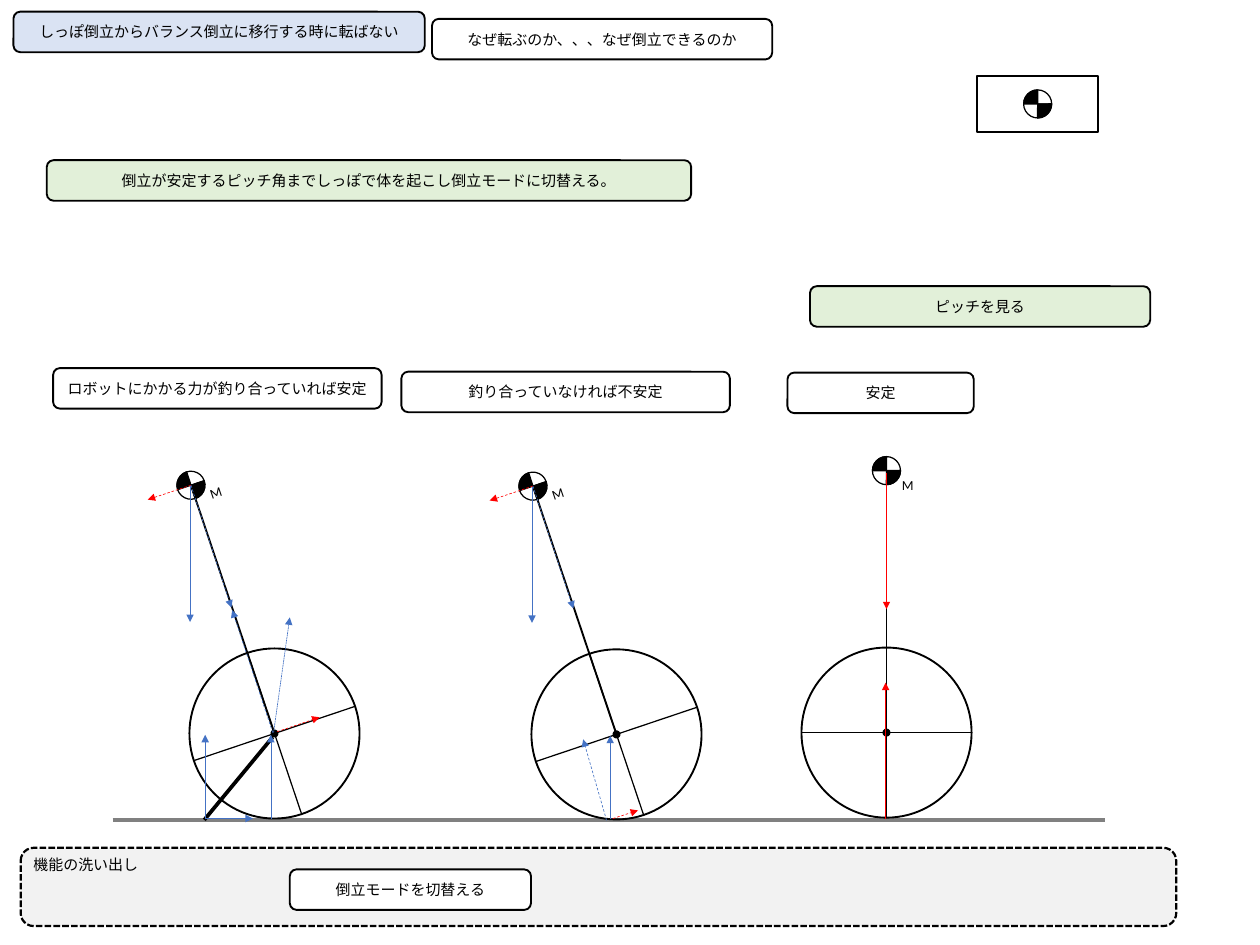
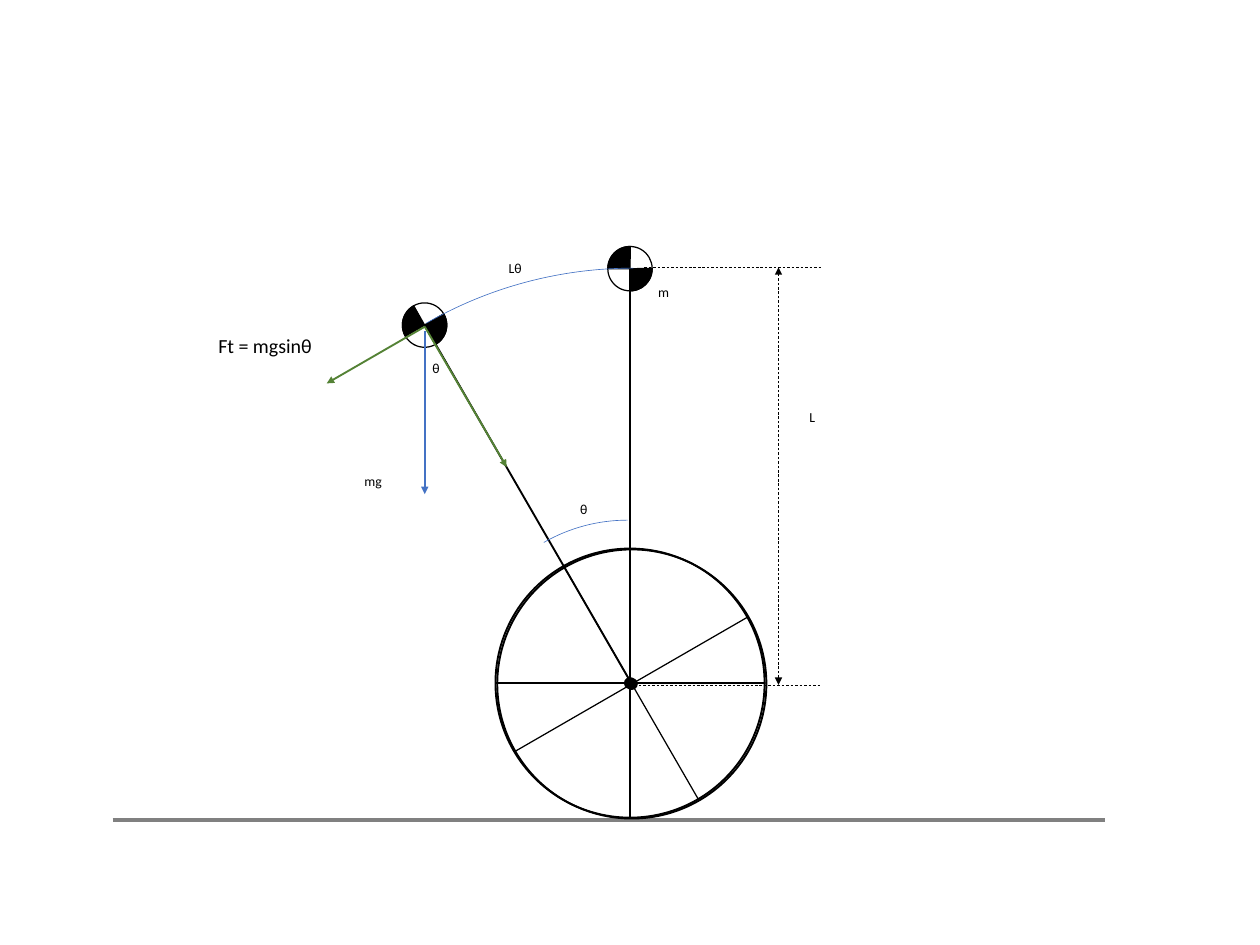
from dataclasses import dataclass
from math import cos, radians, sin

from lxml import etree
from pptx import Presentation
from pptx.dml.color import RGBColor
from pptx.enum.dml import MSO_LINE
from pptx.enum.shapes import MSO_CONNECTOR, MSO_SHAPE
from pptx.enum.text import MSO_ANCHOR, PP_ALIGN
from pptx.oxml.ns import qn
from pptx.util import Inches, Pt

DASH, SHORT_DASH = MSO_LINE.DASH, MSO_LINE.SQUARE_DOT
STRAIGHT = MSO_CONNECTOR.STRAIGHT
ROUNDED, RECTANGLE = MSO_SHAPE.ROUNDED_RECTANGLE, MSO_SHAPE.RECTANGLE
ELLIPSE, PIE, ARC = MSO_SHAPE.OVAL, MSO_SHAPE.PIE, MSO_SHAPE.ARC
MIDDLE, TOP = MSO_ANCHOR.MIDDLE, MSO_ANCHOR.TOP
LEFT, CENTER = PP_ALIGN.LEFT, PP_ALIGN.CENTER


@dataclass(frozen=True)
class Theme:
    font: str = "Calibri"
    black: str = "000000"
    white: str = "FFFFFF"
    blue: str = "4472C4"
    red: str = "FF0000"
    green: str = "548235"
    ground: str = "808080"
    goal: str = "DAE3F3"
    answer: str = "E2F0D9"
    panel: str = "F2F2F2"
    label_size: float = 11
    box_size: float = 12
    formula_size: float = 16
    hair: float = 0.5
    thin: float = 1
    medium: float = 1.5
    panel_line: float = 1.75
    thick: float = 3


THEME = Theme()
SLIDE_SIZE = (14, 10.5)
GROUND = ((1.25, 9.11), (12.28, 9.11))
BOX_HEIGHT = 0.45

BOXES = [
    ("しっぽ倒立からバランス倒立に移行する時に転ばない", 0.15, 0.13, 4.57, THEME.goal),
    ("なぜ転ぶのか、、、なぜ倒立できるのか", 4.8, 0.21, 3.78, THEME.white),
    ("倒立が安定するピッチ角までしっぽで体を起こし倒立モードに切替える。", 0.52, 1.78, 7.16, THEME.answer),
    ("ピッチを見る", 9, 3.18, 3.78, THEME.answer),
    ("ロボットにかかる力が釣り合っていれば安定", 0.59, 4.09, 3.65, THEME.white),
    ("釣り合っていなければ不安定", 4.46, 4.13, 3.65, THEME.white),
    ("安定", 8.75, 4.14, 2.07, THEME.white),
    ("倒立モードを切替える", 3.22, 9.66, 2.68, THEME.white),
]
PANEL = ("機能の洗い出し", (0.23, 9.42, 12.84, 0.87))
LEGEND = (10.86, 0.84, 1.34, 0.63)

LEANING_FORCES = [
    ("mass", (-0.01, 0.01), (-0.01, 1.52), THEME.blue, None),
    ("mass", (0, 0), (-0.48, 0.16), THEME.red, DASH),
    ("mass", (0, 0), (0.45, 1.36), THEME.blue, DASH),
]
ROBOTS = [
    {"hub": (3.05, 8.15), "tilt": -18.6, "tail": ((-0.02, 0.04), (-0.78, 0.96)),
     "forces": LEANING_FORCES + [
         ("contact", (-0.77, 0), (-0.77, -0.93), THEME.blue, None),
         ("contact", (-0.04, 0), (-0.04, -0.93), THEME.blue, None),
         ("contact", (-0.77, 0), (-0.24, 0), THEME.blue, None),
         ("hub", (-0.01, -0.01), (0.17, -1.29), THEME.blue, SHORT_DASH),
         ("hub", (0.03, -0.02), (0.5, -0.18), THEME.red, DASH),
         ("hub", (-0.02, -0.01), (-0.47, -1.37), THEME.blue, DASH)]},
    {"hub": (6.85, 8.16), "tilt": -18.6, "tail": None,
     "forces": LEANING_FORCES + [
         ("contact", (-0.07, 0), (-0.07, -0.93), THEME.blue, None),
         ("contact", (-0.04, -0.01), (0.24, -0.1), THEME.red, DASH),
         ("contact", (-0.11, 0.01), (-0.37, -0.89), THEME.blue, DASH)]},
    {"hub": (9.85, 8.14), "tilt": 0, "tail": None,
     "forces": [
         ("mass", (0, 0.03), (0, 1.54), THEME.red, None),
         ("contact", (-0.01, 0.01), (-0.01, -1.5), THEME.red, None)]},
]
ROBOT_RADIUS = 0.945
ROD_RATIO = 3.08
MASS_RATIO = 0.33
HUB_RATIO = 0.08

MODEL_RADIUS = 1.495
MODEL_ROBOTS = [((7, 7.59), 0, "m"), ((7.02, 7.6), -30, None)]
SWINGS = [((7.03, 7.58), 4.6), ((6.97, 7.64), 1.86)]
SWING_ANGLES = (240.1, 270.1)
DIMENSION_LINES = [
    ((7.16, 2.97), (9.13, 2.97), ""),
    ((7, 7.61), (9.13, 7.61), ""),
    ((8.65, 7.61), (8.65, 2.97), "both"),
]
MODEL_FORCES = [
    ((4.72, 3.68), (4.72, 5.49), THEME.blue),
    ((4.72, 3.63), (5.63, 5.19), THEME.green),
    ((4.72, 3.63), (3.63, 4.26), THEME.green),
]
MODEL_LABELS = [
    ("mg", (3.77, 5.09, 0.75, 0.5), THEME.label_size),
    ("θ", (6.29, 5.41, 0.39, 0.5), THEME.label_size),
    ("L", (8.65, 4.38, 0.75, 0.5), THEME.label_size),
    ("Lθ", (5.35, 2.73, 0.75, 0.5), THEME.label_size),
    ("θ", (4.65, 3.84, 0.39, 0.5), THEME.label_size),
    ("Ft = mgsinθ", (2.12, 3.6, 1.65, 0.47), THEME.formula_size),
]


def shift(point, offset):
    return point[0] + offset[0], point[1] + offset[1]


def turned(offset, degrees):
    angle = radians(degrees)
    x, y = offset
    return x * cos(angle) - y * sin(angle), x * sin(angle) + y * cos(angle)


def around(center, width, height):
    return center[0] - width / 2, center[1] - height / 2, width, height


def style_line(line, color, width, dash=None):
    line.color.rgb = RGBColor.from_string(color)
    line.width = Pt(width)
    if dash is not None:
        line.dash_style = dash


def add_outline(shapes, kind, area, fill=None, width=THEME.thin, color=THEME.black,
                rotation=0, angles=(), dash=None):
    shape = shapes.add_shape(kind, *map(Inches, area))
    shape.shadow.inherit = False
    shape.rotation = rotation % 360
    if fill:
        shape.fill.solid()
        shape.fill.fore_color.rgb = RGBColor.from_string(fill)
    else:
        shape.fill.background()
    style_line(shape.line, color, width, dash)
    for index, angle in enumerate(angles):
        shape.adjustments[index] = angle * 0.6
    return shape


def add_line(shapes, start, end, color=THEME.black, width=THEME.thin, dash=None, arrow=""):
    connector = shapes.add_connector(STRAIGHT, *map(Inches, (*start, *end)))
    style_line(connector.line, color, width, dash)
    properties = connector._element.spPr
    outline = properties.find(qn("a:ln"))
    for tag, present in (("a:headEnd", arrow == "both"), ("a:tailEnd", bool(arrow))):
        if present:
            etree.SubElement(outline, qn(tag), type="triangle")
    etree.SubElement(properties, qn("a:effectLst"))


def write(shape, text, size, alignment=CENTER, anchor=MIDDLE):
    frame = shape.text_frame
    frame.word_wrap = True
    frame.vertical_anchor = anchor
    paragraph = frame.paragraphs[0]
    paragraph.text = text
    paragraph.alignment = alignment
    paragraph.font.name = THEME.font
    paragraph.font.size = Pt(size)
    paragraph.font.color.rgb = RGBColor.from_string(THEME.black)


def add_label(shapes, text, area, size=THEME.label_size, rotation=0):
    label = shapes.add_textbox(*map(Inches, area))
    label.rotation = rotation % 360
    write(label, text, size)


def add_box(shapes, text, left, top, width, fill):
    box = add_outline(shapes, ROUNDED, (left, top, width, BOX_HEIGHT), fill, THEME.medium)
    write(box, text, THEME.box_size)


def add_mass(shapes, center, diameter, tilt=0):
    area = around(center, diameter, diameter)
    for fill, rotation, sweep in ((THEME.black, tilt, 90.6), (None, tilt, 359.7),
                                  (THEME.black, tilt + 180, 90.6)):
        add_outline(shapes, PIE, area, fill, rotation=rotation, angles=(0, sweep))


def add_robot(slide, hub, radius, tilt, label):
    shapes = slide.shapes.add_group_shape().shapes
    mass = shift(hub, turned((0, -ROD_RATIO * radius), tilt))
    add_mass(shapes, mass, MASS_RATIO * radius, tilt)
    add_outline(shapes, ELLIPSE, around(hub, 2 * radius, 2 * radius),
                width=THEME.medium, rotation=tilt)
    for spoke in ((radius, 0), (0, radius)):
        end = turned(spoke, tilt)
        add_line(shapes, shift(hub, (-end[0], -end[1])), shift(hub, end))
    dot = HUB_RATIO * radius
    add_outline(shapes, ELLIPSE, around(hub, dot, dot), THEME.black, rotation=tilt)
    add_line(shapes, hub, mass, width=THEME.medium)
    if label:
        center = shift(mass, turned((0.25 * radius, 0.17 * radius), tilt))
        add_label(shapes, label, around(center, 0.5 * radius, 0.33 * radius), rotation=tilt)
    return {"hub": hub, "mass": mass, "contact": shift(hub, (0, radius))}


def add_ground_slide(presentation):
    slide = presentation.slides.add_slide(presentation.slide_layouts[6])
    add_line(slide.shapes, *GROUND, THEME.ground, THEME.thick)
    return slide


def build_balance_slide(presentation):
    slide = add_ground_slide(presentation)
    shapes = slide.shapes
    for robot in ROBOTS:
        anchors = add_robot(slide, robot["hub"], ROBOT_RADIUS, robot["tilt"], "M")
        if robot["tail"]:
            add_line(shapes, *(shift(robot["hub"], end) for end in robot["tail"]),
                     width=THEME.thick)
        for anchor, start, end, color, dash in robot["forces"]:
            origin = anchors[anchor]
            add_line(shapes, shift(origin, start), shift(origin, end),
                     color, THEME.hair, dash, "end")
    legend = shapes.add_group_shape().shapes
    add_outline(legend, RECTANGLE, LEGEND, width=THEME.medium)
    left, top, width, height = LEGEND
    add_mass(legend, (left + width / 2, top + height / 2), MASS_RATIO * ROBOT_RADIUS)
    text, area = PANEL
    panel = add_outline(shapes, ROUNDED, area, THEME.panel, THEME.panel_line, dash=SHORT_DASH)
    write(panel, text, THEME.box_size, LEFT, TOP)
    for box in BOXES:
        add_box(shapes, *box)


def build_model_slide(presentation):
    slide = add_ground_slide(presentation)
    shapes = slide.shapes
    for hub, tilt, label in MODEL_ROBOTS:
        add_robot(slide, hub, MODEL_RADIUS, tilt, label)
    for center, radius in SWINGS:
        add_outline(shapes, ARC, around(center, 2 * radius, 2 * radius),
                    width=THEME.hair, color=THEME.blue, angles=SWING_ANGLES)
    for start, end, arrow in DIMENSION_LINES:
        add_line(shapes, start, end, width=THEME.hair, dash=DASH, arrow=arrow)
    for start, end, color in MODEL_FORCES:
        add_line(shapes, start, end, color, THEME.medium, arrow="end")
    for label in MODEL_LABELS:
        add_label(shapes, *label)


def main():
    presentation = Presentation()
    presentation.slide_width, presentation.slide_height = map(Inches, SLIDE_SIZE)
    build_balance_slide(presentation)
    build_model_slide(presentation)
    presentation.save("out.pptx")


if __name__ == "__main__":
    main()
